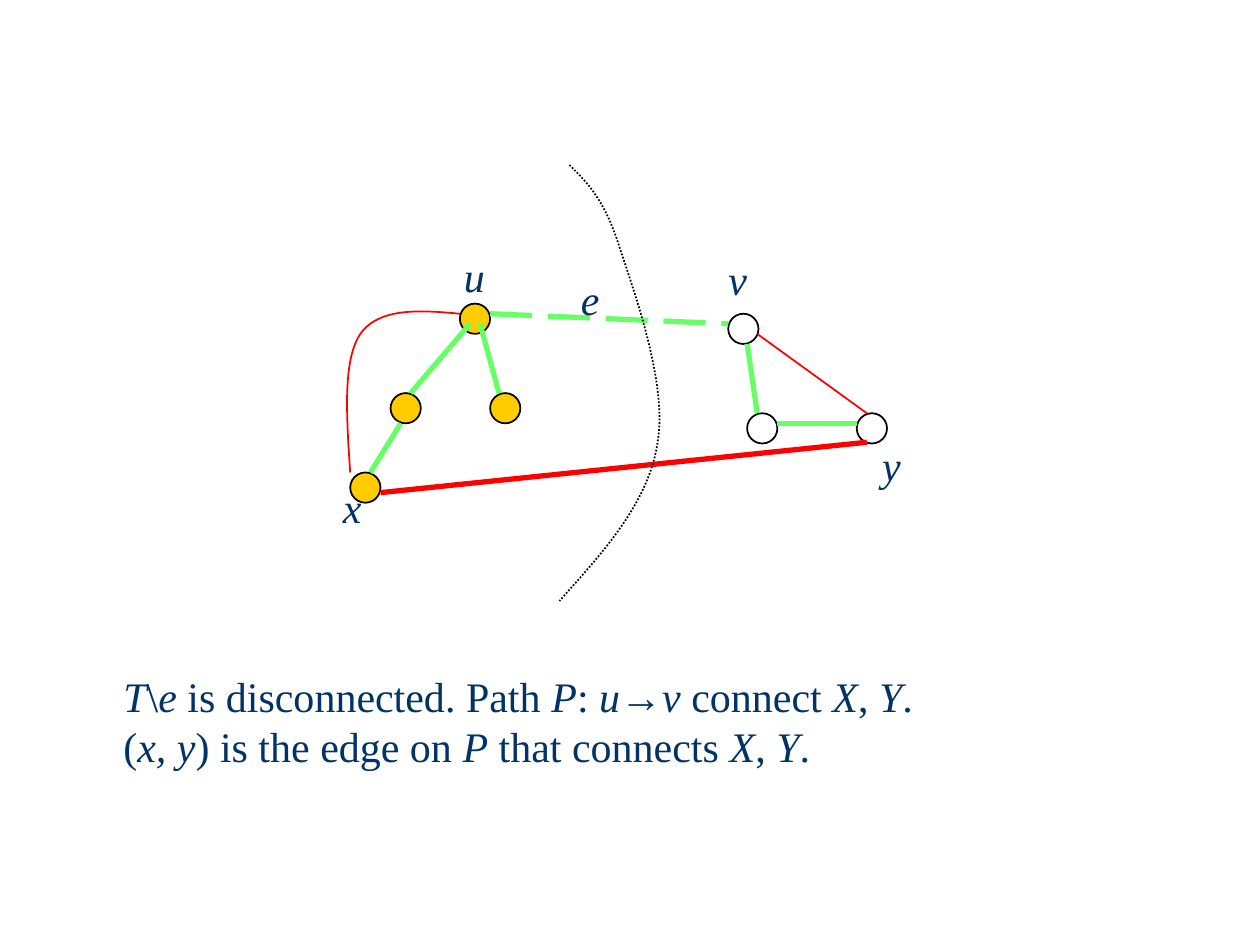
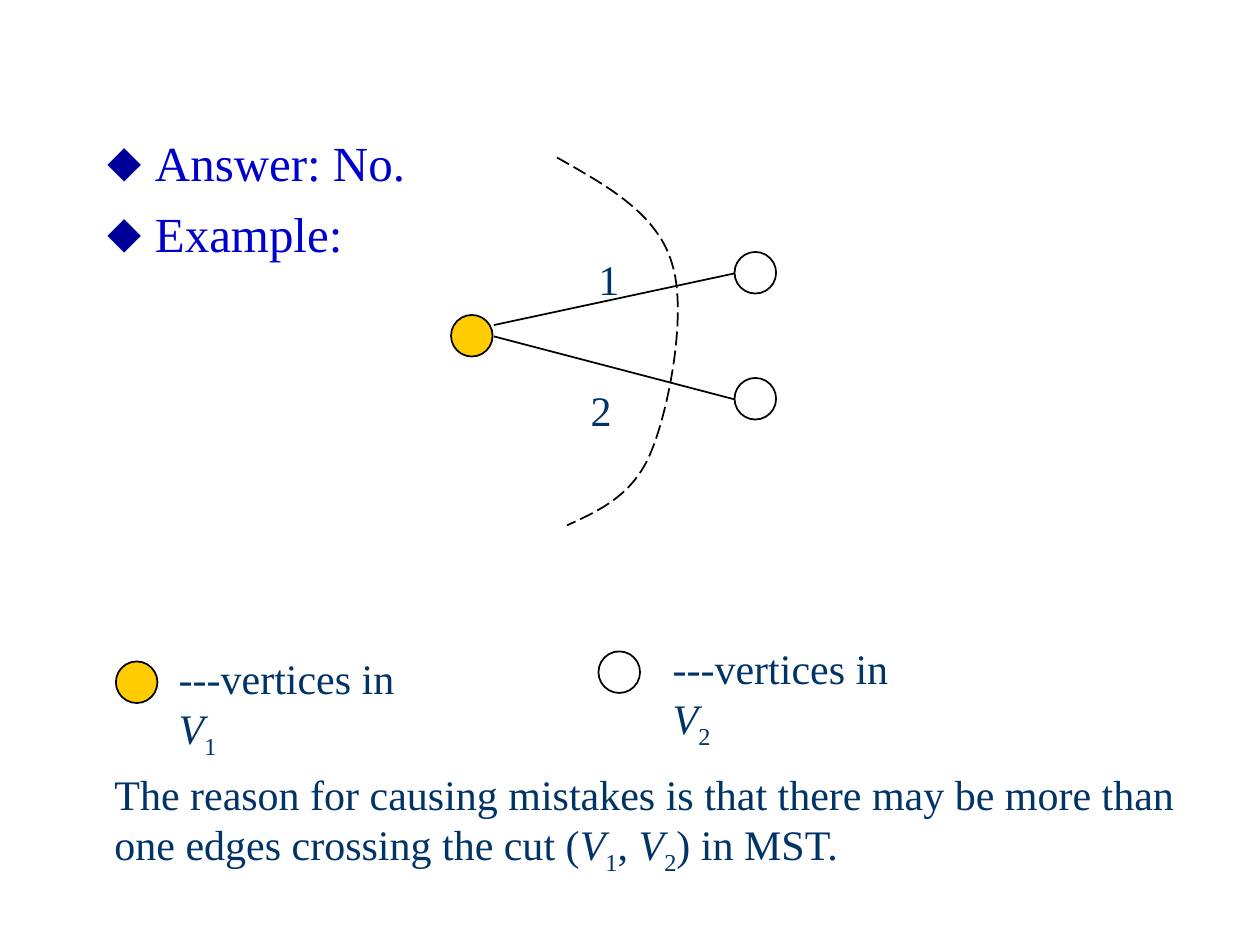
"""Builds two slides on spanning trees and the edges that cross a cut."""
from typing import NamedTuple

from lxml.etree import SubElement
from pptx import Presentation
from pptx.dml.color import RGBColor
from pptx.enum.dml import MSO_LINE
from pptx.enum.shapes import MSO_CONNECTOR, MSO_SHAPE
from pptx.enum.text import MSO_AUTO_SIZE, PP_ALIGN
from pptx.oxml.ns import qn
from pptx.slide import Slide
from pptx.util import Inches, Pt

NAVY, BLUE, DIAMOND = "003366", "0000CC", "000099"
GOLD, GREEN, RED, BLACK = "FFCC00", "66FF66", "FF0000", "000000"
SERIF, SANS = "Times New Roman", "Arial"
STEPS = 24
Point = tuple[float, float]


class Node(NamedTuple):
    x: float
    y: float
    fill: str | None = None


class Edge(NamedTuple):
    start: Point
    end: Point
    color: str = BLACK
    width: float = 1
    dash: MSO_LINE | None = None


class Curve(NamedTuple):
    points: list[Point]
    color: str = BLACK
    dash: MSO_LINE | None = None


class Label(NamedTuple):
    text: str
    x: float
    y: float
    width: float = 0.35
    height: float = 0.5
    align: PP_ALIGN = PP_ALIGN.CENTER


def rgb(color: str) -> RGBColor:
    return RGBColor.from_string(color)


def stroke(line, color: str, width: float = 1, dash: MSO_LINE | None = None) -> None:
    line.color.rgb = rgb(color)
    line.width = Pt(width)
    if dash is not None:
        line.dash_style = dash


def write(frame, text: str, *, size: float = 24, color: str = NAVY,
          align: PP_ALIGN = PP_ALIGN.LEFT, before: float = 0) -> None:
    for row, line in enumerate(text.split("\n")):
        para = frame.add_paragraph() if row else frame.paragraphs[0]
        para.alignment, para.space_before = align, Pt(before)
        for i, part in enumerate(line.split("*")):
            for j, bit in enumerate(part.split("_")):
                if not bit:
                    continue
                run = para.add_run()
                run.text = bit
                font = run.font
                font.name = SANS if bit == "→" else SERIF
                font.size, font.italic = Pt(size), i % 2 == 1
                font.color.rgb = rgb(color)
                if j % 2:
                    font._element.set("baseline", "-25000")


def draw_node(slide: Slide, node: Node, size: float) -> None:
    shape = slide.shapes.add_shape(MSO_SHAPE.OVAL, Inches(node.x), Inches(node.y),
                                   Inches(size), Inches(size))
    shape.shadow.inherit = False
    stroke(shape.line, BLACK)
    if node.fill:
        shape.fill.solid()
        shape.fill.fore_color.rgb = rgb(node.fill)
    else:
        shape.fill.background()


def draw_edge(slide: Slide, edge: Edge) -> None:
    ends = [Inches(v) for v in (*edge.start, *edge.end)]
    link = slide.shapes.add_connector(MSO_CONNECTOR.STRAIGHT, *ends)
    stroke(link.line, edge.color, edge.width, edge.dash)
    SubElement(link._element.spPr, qn("a:effectLst"))


def bezier(points: list[Point], t: float) -> Point:
    while len(points) > 1:
        points = [(a + (c - a) * t, b + (d - b) * t)
                  for (a, b), (c, d) in zip(points, points[1:])]
    return points[0]


def draw_curve(slide: Slide, curve: Curve) -> None:
    dots = [bezier(curve.points[k:k + 4], n / STEPS)
            for k in range(0, len(curve.points) - 1, 3) for n in range(1, STEPS + 1)]
    x, y = curve.points[0]
    pen = slide.shapes.build_freeform(Inches(x), Inches(y))
    pen.add_line_segments([(Inches(a), Inches(b)) for a, b in dots], close=False)
    shape = pen.convert_to_shape()
    shape.shadow.inherit = False
    shape.fill.background()
    stroke(shape.line, curve.color, dash=curve.dash)


def draw_label(slide: Slide, label: Label) -> None:
    box = slide.shapes.add_textbox(Inches(label.x), Inches(label.y),
                                   Inches(label.width), Inches(label.height))
    box.text_frame.word_wrap = False
    box.text_frame.auto_size = MSO_AUTO_SIZE.SHAPE_TO_FIT_TEXT
    write(box.text_frame, label.text, align=label.align)


def draw_graph(slide: Slide, size: float, nodes: list[Node], edges: list[Edge],
               curves: list[Curve], labels: list[Label]) -> None:
    for node in nodes:
        draw_node(slide, node, size)
    for edge in edges:
        draw_edge(slide, edge)
    for curve in curves:
        draw_curve(slide, curve)
    for label in labels:
        draw_label(slide, label)


def draw_bullets(slide: Slide, text: str) -> None:
    slide.shapes.title._element.getparent().remove(slide.shapes.title._element)
    body = slide.placeholders[1]
    body.left, body.top = Inches(0.75), Inches(1)
    body.width, body.height = Inches(8.33), Inches(5.75)
    frame = body.text_frame
    frame.auto_size = MSO_AUTO_SIZE.NONE
    write(frame, text, size=28, color=BLUE, before=7)
    for para in frame.paragraphs:
        props = para._p.get_or_add_pPr()
        props.set("marL", str(Inches(0.38)))
        props.set("indent", str(-Inches(0.38)))
        tint = SubElement(props, qn("a:buClr"))
        SubElement(tint, qn("a:srgbClr"), val=DIAMOND)
        SubElement(props, qn("a:buChar"), char="⬥")


def tree_slide(slide: Slide) -> None:
    nodes = [Node(3.65, 2.41, GOLD), Node(3.1, 3.12, GOLD), Node(3.89, 3.12, GOLD),
             Node(2.78, 3.75, GOLD), Node(5.93, 3.28), Node(5.78, 2.49), Node(6.8, 3.28)]
    tree = [((3.73, 2.57), (3.26, 3.12)), ((3.81, 2.57), (3.96, 3.12)),
            ((5.93, 2.73), (6.01, 3.28)), ((3.18, 3.36), (2.94, 3.75)),
            ((6.17, 3.36), (6.8, 3.36))]
    edges = [Edge(a, b, GREEN, 3) for a, b in tree] + [
        Edge((3.89, 2.49), (5.78, 2.57), GREEN, 3, MSO_LINE.LONG_DASH),
        Edge((3.02, 3.91), (6.88, 3.51), RED, 3),
        Edge((6.01, 2.65), (6.88, 3.28), RED)]
    cut = Curve([(4.52, 1.31), (4.65, 1.44), (4.79, 1.57), (4.91, 1.94), (5.03, 2.31),
                 (5.3, 3.04), (5.22, 3.51), (5.15, 3.99), (4.79, 4.38), (4.44, 4.77)],
                dash=MSO_LINE.ROUND_DOT)
    route = Curve([(3.65, 2.49), (3.33, 2.46), (3.01, 2.44), (2.86, 2.65),
                   (2.72, 2.86), (2.75, 3.3), (2.78, 3.75)], RED)
    proof = ("*T*\\*e* is disconnected. Path *P*: *u*→*v* connect *X*, *Y*.\n"
             "(*x, y*) is the edge on *P* that connects *X*, *Y*.")
    labels = [Label("*u*", 3.49, 1.94, 0.55), Label("*v*", 5.68, 1.96),
              Label("*e*", 4.51, 2.12), Label("*x*", 2.62, 3.77), Label("*y*", 6.9, 3.44),
              Label(proof, 0.88, 5.27, 6.55, 0.9, PP_ALIGN.LEFT)]
    draw_graph(slide, 0.24, nodes, edges, [cut, route], labels)


def answer_slide(slide: Slide) -> None:
    draw_bullets(slide, "Answer: No.\nExample:")
    nodes = [Node(3.58, 2.5, GOLD), Node(5.83, 3), Node(5.83, 2),
             Node(0.92, 5.25, GOLD), Node(4.75, 5.17)]
    edges = [Edge((3.92, 2.58), (5.83, 2.17)), Edge((3.92, 2.67), (5.83, 3.17))]
    cut = Curve([(4.42, 1.25), (4.81, 1.47), (5.21, 1.69), (5.33, 2.08), (5.46, 2.47),
                 (5.31, 3.24), (5.17, 3.58), (5.03, 3.93), (4.76, 4.05), (4.5, 4.17)],
                dash=MSO_LINE.LONG_DASH)
    reason = ("The reason for causing mistakes is that there may be more than\n"
              "one edges crossing the cut (*V*_1_, *V*_2_) in MST.")
    keys = [Label(f"---vertices in *V*_{n}_", x, y, 2.29, 0.56, PP_ALIGN.LEFT)
            for n, x, y in ((1, 1.32, 5.13), (2, 5.24, 5.05))]
    labels = [Label("1", 4.65, 1.96, 0.36), Label("2", 4.59, 3, 0.36), *keys,
              Label(reason, 0.81, 6.05, 8.69, 0.96, PP_ALIGN.LEFT)]
    draw_graph(slide, 0.33, nodes, edges, [cut], labels)


def main() -> None:
    deck = Presentation()
    deck.slide_width, deck.slide_height = Inches(10), Inches(7.5)
    tree_slide(deck.slides.add_slide(deck.slide_layouts[6]))
    answer_slide(deck.slides.add_slide(deck.slide_layouts[1]))
    deck.save("out.pptx")


if __name__ == "__main__":
    main()
